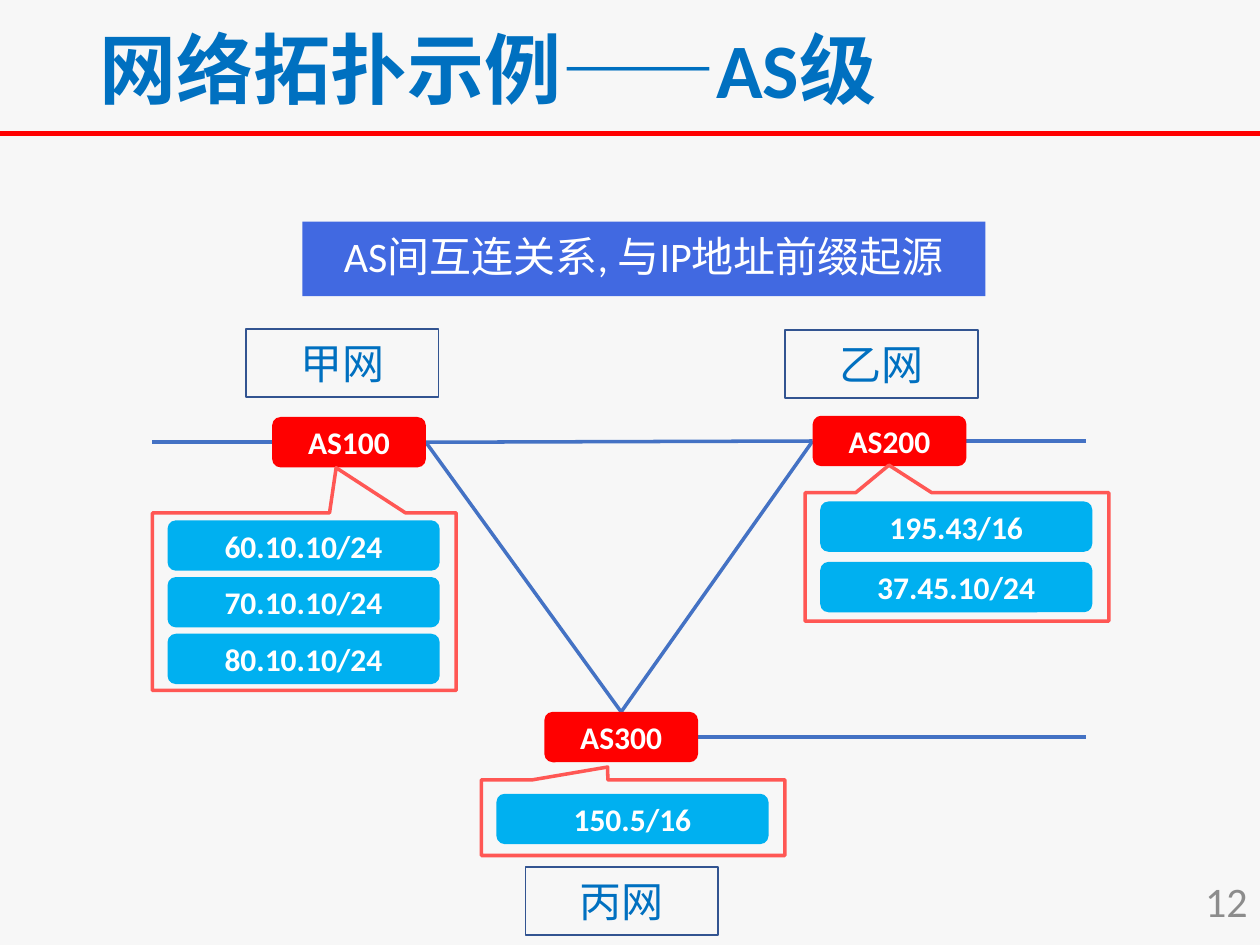
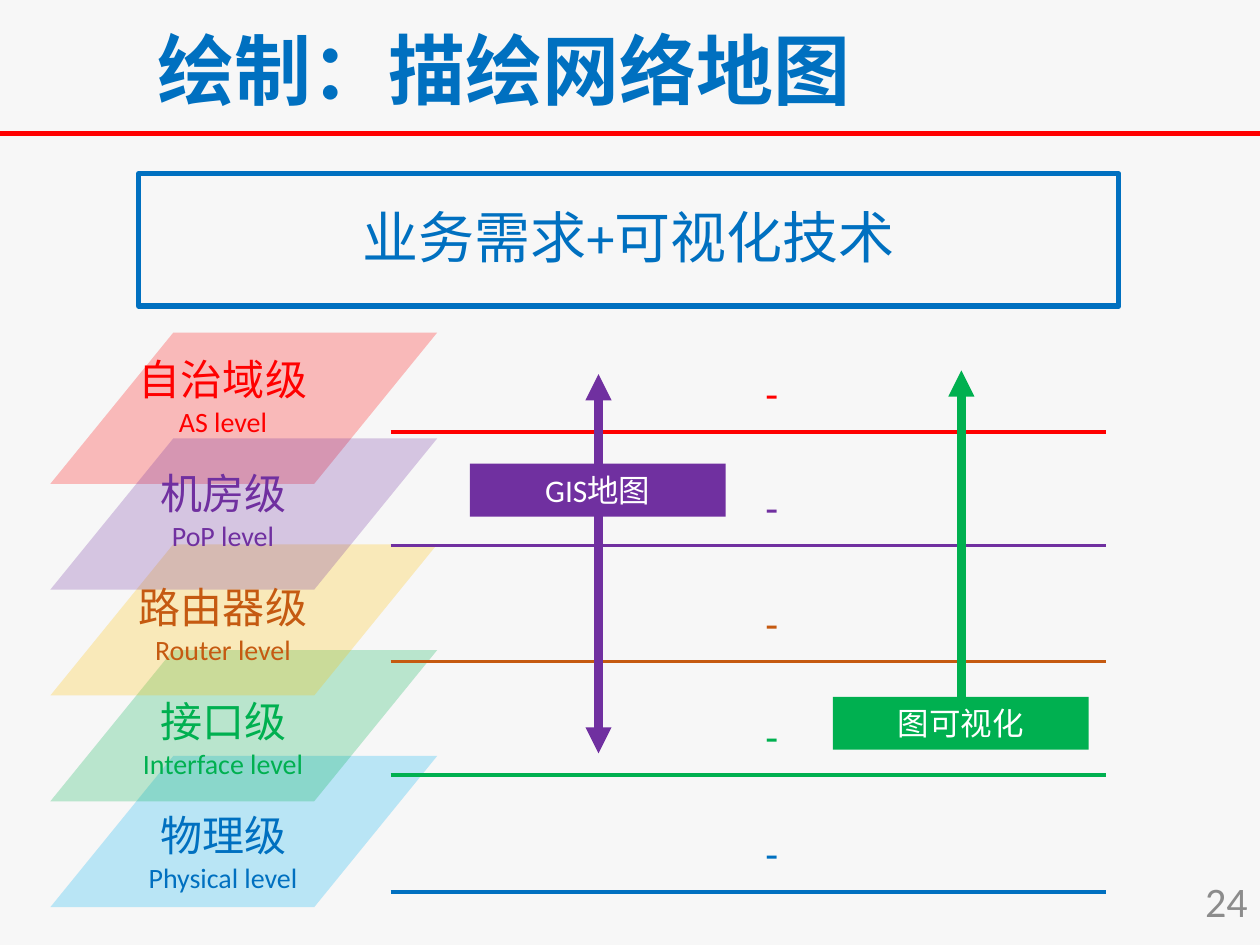
from dataclasses import dataclass

from lxml import etree
from pptx import Presentation
from pptx.dml.color import RGBColor
from pptx.enum.shapes import MSO_CONNECTOR as Conn, MSO_SHAPE as Geo
from pptx.enum.text import MSO_ANCHOR as Anchor, MSO_AUTO_SIZE as AutoSize, PP_ALIGN as Align
from pptx.oxml.ns import qn
from pptx.util import Inches, Pt

FONT = "Calibri"
PAPER = RGBColor(0xF7, 0xF7, 0xF7)
WHITE = RGBColor(0xFF, 0xFF, 0xFF)
GREY = RGBColor(0x8C, 0x8C, 0x8C)
RED = RGBColor(0xFF, 0x00, 0x00)
BLUE = RGBColor(0x00, 0x70, 0xC0)
SKY = RGBColor(0x00, 0xB0, 0xF0)
ROYAL = RGBColor(0x41, 0x69, 0xE1)
LINK = RGBColor(0x44, 0x72, 0xC4)
FRAME = RGBColor(0x32, 0x54, 0x91)
CORAL = RGBColor(0xFF, 0x57, 0x54)
PURPLE = RGBColor(0x70, 0x30, 0xA0)
GREEN = RGBColor(0x00, 0xB0, 0x50)
ORANGE = RGBColor(0xC5, 0x5A, 0x11)
AMBER = RGBColor(0xFF, 0xC0, 0x00)


@dataclass(frozen=True)
class Box:
    left: float
    top: float
    width: float
    height: float

    @property
    def emu(self) -> tuple:
        return tuple(Inches(v) for v in (self.left, self.top, self.width, self.height))

    @property
    def mid_x(self) -> float:
        return self.left + self.width / 2

    @property
    def mid_y(self) -> float:
        return self.top + self.height / 2

    @property
    def right(self) -> float:
        return self.left + self.width


@dataclass(frozen=True)
class TextLine:
    text: str
    size: float
    color: RGBColor
    bold: bool = False


@dataclass(frozen=True)
class Network:
    """An autonomous system with its operator and the prefixes it originates."""
    operator: str
    operator_at: tuple[float, float]
    number: str
    node: Box
    callout: Box
    pointer: tuple[float, float]
    prefixes: tuple[str, ...]
    first_prefix: float
    prefix_step: float = 0


@dataclass(frozen=True)
class Level:
    name: str
    english: str
    color: RGBColor
    panel: RGBColor
    rule_y: float


NETWORKS = (
    Network("甲网", (1.95, 2.61), "AS100", Box(2.16, 3.31, 1.22, 0.4),
            Box(1.21, 4.07, 2.41, 1.41), (0.105, -0.754),
            ("60.10.10/24", "70.10.10/24", "80.10.10/24"), 4.13, 0.45),
    Network("乙网", (6.23, 2.62), "AS200", Box(6.45, 3.3, 1.22, 0.4),
            Box(6.39, 3.91, 2.41, 1.02), (-0.224, -0.714),
            ("195.43/16", "37.45.10/24"), 3.98, 0.48),
    Network("丙网", (4.17, 6.88), "AS300", Box(4.32, 5.65, 1.22, 0.4),
            Box(3.82, 6.19, 2.41, 0.6), (-0.084, -0.671),
            ("150.5/16",), 6.3),
)

LEVELS = (
    Level("自治域级", "AS level", RED, RED, 3.43),
    Level("机房级", "PoP level", PURPLE, PURPLE, 4.33),
    Level("路由器级", "Router level", ORANGE, AMBER, 5.25),
    Level("接口级", "Interface level", GREEN, GREEN, 6.15),
    Level("物理级", "Physical level", BLUE, SKY, 7.08),
)
PANEL_STACK = (4, 3, 2, 0, 1)


def write(s, *lines: TextLine, align=Align.CENTER, spacing=1.0) -> None:
    tf = s.text_frame
    for name, value in {"word_wrap": True, "auto_size": AutoSize.NONE,
                        "vertical_anchor": Anchor.MIDDLE}.items():
        setattr(tf, name, value)
    for i, line in enumerate(lines):
        p = tf.add_paragraph() if i else tf.paragraphs[0]
        for name, value in {"alignment": align, "line_spacing": spacing,
                            "space_before": Pt(0)}.items():
            setattr(p, name, value)
        r = p.add_run()
        r.text = line.text
        for name, value in {"name": FONT, "size": Pt(line.size), "bold": line.bold}.items():
            setattr(r.font, name, value)
        r.font.color.rgb = line.color


def paint(s, fill=None, line=None, width=1.0) -> None:
    if fill is None:
        s.fill.background()
    else:
        s.fill.solid()
        s.fill.fore_color.rgb = fill
    if line is None:
        s.line.fill.background()
    else:
        s.line.color.rgb = line
        s.line.width = Pt(width)


def add_box(slide, geo, box: Box, *lines: TextLine, fill=None, line=None, width=1.0):
    s = slide.shapes.add_shape(geo, *box.emu)
    s.shadow.inherit = False
    paint(s, fill, line, width)
    write(s, *lines)
    return s


def add_text(slide, box: Box, *lines: TextLine, align=Align.CENTER) -> None:
    write(slide.shapes.add_textbox(*box.emu), *lines, align=align)


def add_line(slide, start: tuple, end: tuple, color: RGBColor, width=2.0, arrows=()) -> None:
    """Draw a line; arrows lists the ends to point: headEnd (start), tailEnd (end)."""
    ends = (Inches(v) for v in (*start, *end))
    s = slide.shapes.add_connector(Conn.STRAIGHT, *ends)
    s.line.color.rgb = color
    s.line.width = Pt(width)
    ln = s._element.spPr.find(qn("a:ln"))
    for end_name in arrows:
        etree.SubElement(ln, qn(f"a:{end_name}"), type="triangle")
    etree.SubElement(s._element.spPr, qn("a:effectLst"))


def place(s, box: Box) -> None:
    for name, value in zip(("left", "top", "width", "height"), box.emu):
        setattr(s, name, value)


def add_slide(prs, title: str, title_box: Box, number: str):
    slide = prs.slides.add_slide(prs.slide_layouts[1])
    place(slide.shapes.title, title_box)
    write(slide.shapes.title, TextLine(title, 44, BLUE, True), align=Align.LEFT, spacing=0.9)
    add_line(slide, (0, 1.06), (10, 1.06), RED, 3)
    add_text(slide, Box(7.75, 6.95, 2.25, 0.4), TextLine(number, 24, GREY), align=Align.RIGHT)
    return slide


def fill_body(slide, box: Box, text: TextLine, **look) -> None:
    """Turn the body placeholder into a banner without bullets."""
    s = slide.placeholders[1]
    place(s, box)
    paint(s, **look)
    pPr = s.text_frame.paragraphs[0]._p.get_or_add_pPr()
    pPr.set("marL", "0")
    pPr.set("indent", "0")
    etree.SubElement(pPr, qn("a:buNone"))
    write(s, text, spacing=0.9)


def add_network(slide, n: Network) -> None:
    add_box(slide, Geo.ROUNDED_RECTANGLE, n.node, TextLine(n.number, 18, WHITE, True), fill=RED)
    for i, prefix in enumerate(n.prefixes):
        box = Box(n.callout.left + 0.12, n.first_prefix + i * n.prefix_step, 2.16, 0.4)
        add_box(slide, Geo.ROUNDED_RECTANGLE, box, TextLine(prefix, 18, WHITE, True), fill=SKY)
    callout = add_box(slide, Geo.RECTANGULAR_CALLOUT, n.callout, line=CORAL, width=2)
    for i, value in enumerate(n.pointer):
        callout.adjustments[i] = value
    add_box(slide, Geo.RECTANGLE, Box(*n.operator_at, 1.53, 0.54),
            TextLine(n.operator, 24, BLUE), line=FRAME)


def build_topology(prs) -> None:
    slide = add_slide(prs, "网络拓扑示例——AS级", Box(0.69, 0.17, 8.62, 0.83), "12")
    fill_body(slide, Box(2.4, 1.76, 5.42, 0.59),
              TextLine("AS间互连关系, 与IP地址前缀起源", 24, WHITE), fill=ROYAL)
    west, east, south = (n.node for n in NETWORKS)
    west_port = (west.right, west.mid_y)
    east_port = (east.left, east.mid_y)
    south_port = (south.mid_x, south.top)
    for start, end in (
        (west_port, east_port),
        (west_port, south_port),
        (east_port, south_port),
        ((1.21, west.mid_y), (west.left, west.mid_y)),
        ((east.right, east.mid_y), (8.62, east.mid_y)),
        ((south.right, south.mid_y), (8.62, south.mid_y)),
    ):
        add_line(slide, start, end, LINK)
    for n in NETWORKS:
        add_network(slide, n)


def add_panel(slide, i: int) -> None:
    s = add_box(slide, Geo.PARALLELOGRAM, Box(0.4, 2.64 + 0.84 * i, 3.07, 1.2),
                fill=LEVELS[i].panel)
    s.adjustments[0] = 0.813
    color = s._element.spPr.find(qn("a:solidFill"))[0]
    etree.SubElement(color, qn("a:alpha"), val="25000")


def build_map(prs) -> None:
    slide = add_slide(prs, "绘制：描绘网络地图", Box(1.15, 0.18, 8.16, 0.83), "24")
    fill_body(slide, Box(1.1, 1.38, 7.78, 1.05),
              TextLine("业务需求+可视化技术", 32, BLUE), line=BLUE, width=3)
    for i in PANEL_STACK:
        add_panel(slide, i)
    for i, level in enumerate(LEVELS):
        add_text(slide, Box(0.86, 2.88 + 0.905 * i, 1.82, 0.52),
                 TextLine(level.name, 24, level.color), TextLine(level.english, 16, level.color))
        add_box(slide, Geo.ROUNDED_RECTANGLE, Box(2.94, level.rule_y - 0.61, 6.37, 0.6),
                TextLine("-", 24, level.color))
        add_line(slide, (3.1, level.rule_y), (8.78, level.rule_y), level.color)
    add_line(slide, (7.63, 5.66), (7.63, 2.94), GREEN, 5, ("tailEnd",))
    add_line(slide, (4.75, 5.98), (4.75, 2.97), PURPLE, 5, ("headEnd", "tailEnd"))
    for text, left, top, color in (("图可视化", 6.61, 5.53, GREEN), ("GIS地图", 3.73, 3.68, PURPLE)):
        add_box(slide, Geo.RECTANGLE, Box(left, top, 2.03, 0.42),
                TextLine(text, 18, WHITE), fill=color)


def main() -> None:
    prs = Presentation()
    prs.slide_width, prs.slide_height = Inches(10), Inches(7.5)
    background = prs.slide_master.background.fill
    background.solid()
    background.fore_color.rgb = PAPER
    build_topology(prs)
    build_map(prs)
    prs.save("out.pptx")


if __name__ == "__main__":
    main()
